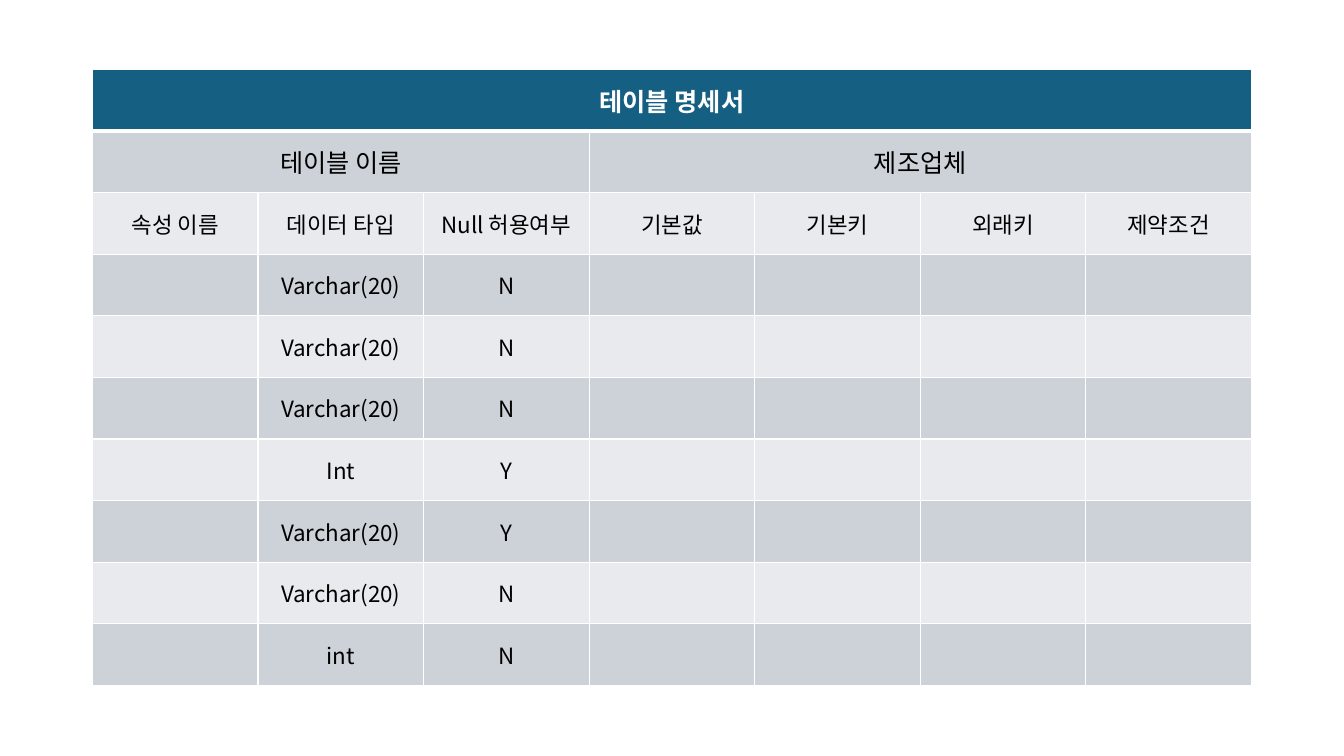
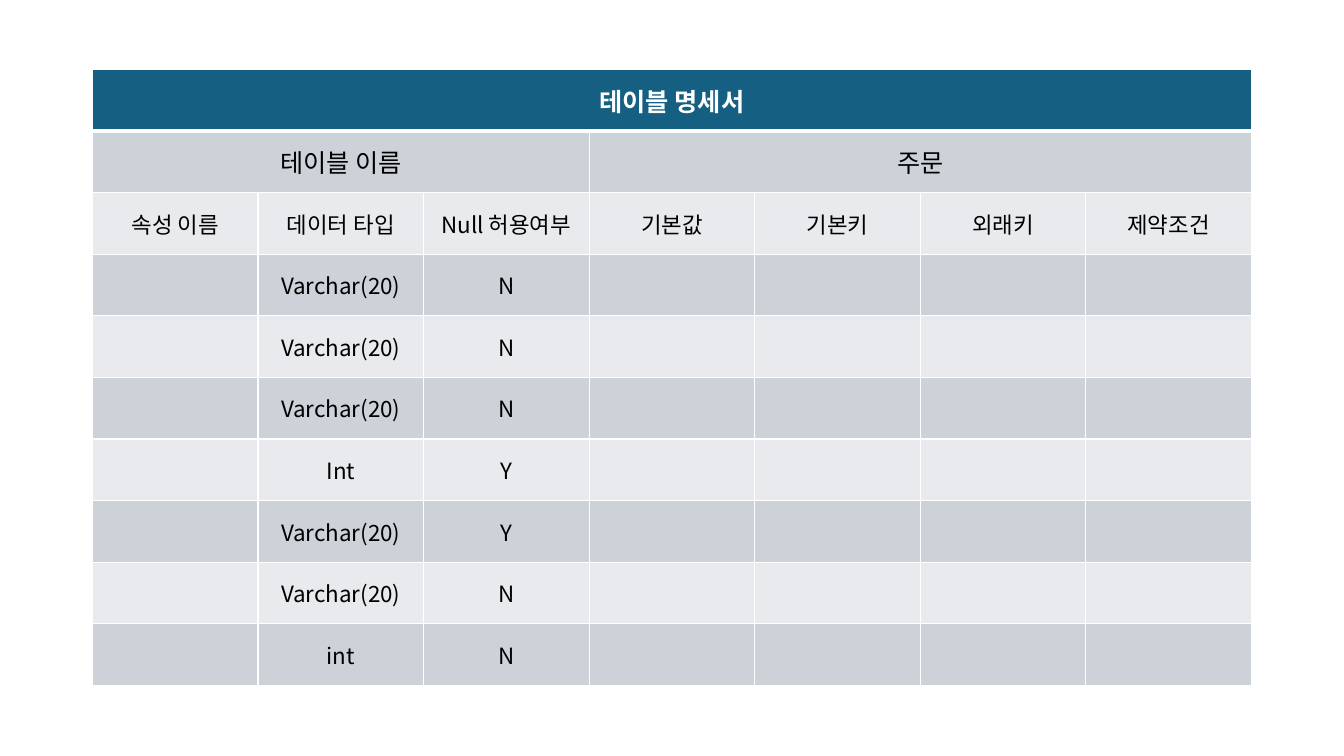
import pptx
import pptx.dml.color
import pptx.enum.text
import pptx.oxml
import pptx.oxml.ns
import pptx.util
from pptx.util import Cm

FONT = "Noto Sans CJK KR"
COLORS = {
    "header": "156082",
    "band_dark": "CCD2D8",
    "band_light": "E8EAED",
    "border": "FFFFFF",
    "header_text": "FFFFFF",
    "text": "000000",
}

TITLE = "테이블 명세서"
NAME_LABEL = "테이블 이름"
TABLE_NAMES = ["제조업체", "주문"]
COLUMNS = ["속성 이름", "데이터 타입", "Null 허용여부", "기본값", "기본키", "외래키", "제약조건"]
ATTRIBUTES = [  # data type, null allowed
    ("Varchar(20)", "N"),
    ("Varchar(20)", "N"),
    ("Varchar(20)", "N"),
    ("Int", "Y"),
    ("Varchar(20)", "Y"),
    ("Varchar(20)", "N"),
    ("int", "N"),
]
NAME_SPAN = 3  # columns under the name label
LEFT, TOP, WIDTH, HEIGHT = Cm(2.33), Cm(1.75), Cm(29.21), Cm(15.52)


def rgb(name):
    return pptx.dml.color.RGBColor.from_string(COLORS[name])


def write_text(cell, text, size=16, color="text", bold=False):
    cell.vertical_anchor = pptx.enum.text.MSO_ANCHOR.MIDDLE
    para = cell.text_frame.paragraphs[0]
    para.alignment = pptx.enum.text.PP_ALIGN.CENTER
    span = para.add_run()
    span.text = text
    span.font.size = pptx.util.Pt(size)
    span.font.bold = bold
    span.font.color.rgb = rgb(color)
    span.font.name = FONT
    east_asian = pptx.oxml.parse_xml(
        f'<a:ea {pptx.oxml.ns.nsdecls("a")} typeface="{FONT}"/>')
    span.font._element.append(east_asian)


def set_borders(cell, top=1, bottom=1):
    """Draw the four cell borders; call before the fill, which must follow them."""
    properties = cell._tc.get_or_add_tcPr()
    for side, points in (("L", 1), ("R", 1), ("T", top), ("B", bottom)):
        properties.append(pptx.oxml.parse_xml(
            f'<a:ln{side} {pptx.oxml.ns.nsdecls("a")} w="{pptx.util.Pt(points)}">'
            f'<a:solidFill><a:srgbClr val="{COLORS["border"]}"/></a:solidFill>'
            f'</a:ln{side}>'))


def style_cells(table):
    for row_index, row in enumerate(table.rows):
        band = "band_dark" if row_index % 2 else "band_light"
        for cell in row.cells:
            set_borders(cell, top=3 if row_index == 1 else 1,
                        bottom=3 if row_index == 0 else 1)
            cell.fill.solid()
            cell.fill.fore_color.rgb = rgb("header" if row_index == 0 else band)


def add_specification(page, table_name):
    last = len(COLUMNS) - 1
    table = page.shapes.add_table(
        len(ATTRIBUTES) + 3, len(COLUMNS), LEFT, TOP, WIDTH, HEIGHT).table
    style_cells(table)
    for row, first, end in ((0, 0, last), (1, 0, NAME_SPAN - 1), (1, NAME_SPAN, last)):
        table.cell(row, first).merge(table.cell(row, end))

    write_text(table.cell(0, 0), TITLE, size=18, color="header_text", bold=True)
    write_text(table.cell(1, 0), NAME_LABEL, size=18)
    write_text(table.cell(1, NAME_SPAN), table_name, size=18)
    for column, label in enumerate(COLUMNS):
        write_text(table.cell(2, column), label)
    for row, values in enumerate(ATTRIBUTES, start=3):
        for column, value in enumerate(values, start=1):
            write_text(table.cell(row, column), value)


def main():
    deck = pptx.Presentation()
    deck.slide_width, deck.slide_height = Cm(33.87), Cm(19.05)
    for table_name in TABLE_NAMES:
        add_specification(deck.slides.add_slide(deck.slide_layouts[6]), table_name)
    deck.save("out.pptx")


if __name__ == "__main__":
    main()
